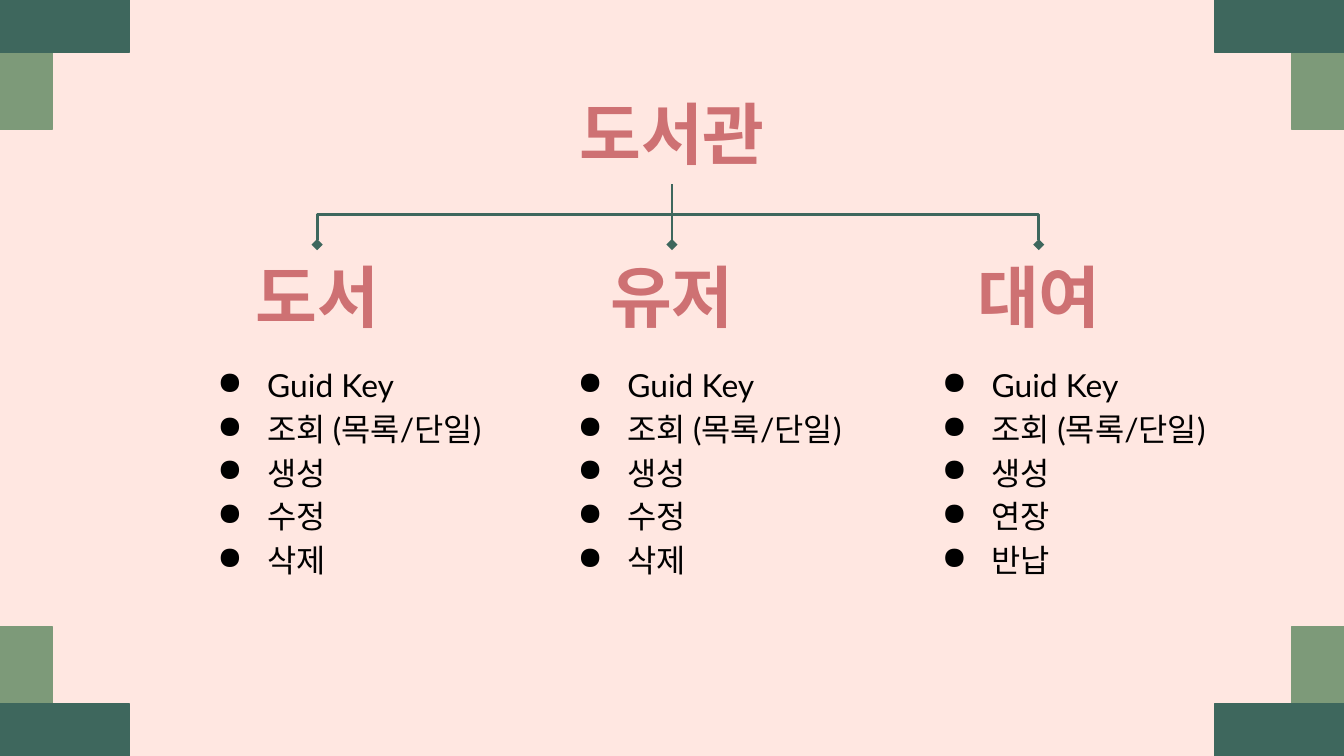
from itertools import product

from lxml.etree import SubElement
from pptx import Presentation
from pptx.dml.color import RGBColor
from pptx.enum.shapes import MSO_CONNECTOR as CONNECTOR, MSO_SHAPE as SHAPE
from pptx.enum.text import MSO_ANCHOR as ANCHOR, MSO_AUTO_SIZE as AUTO_SIZE, PP_ALIGN as ALIGN
from pptx.oxml.ns import qn
from pptx.util import Inches, Pt

ROOT = "도서관"
COMMON = ["Guid Key", "조회 (목록/단일)", "생성"]
# heading, centre of the heading, left edge of the list, items
BRANCHES = [
    ("도서", 2.36, 1.39, COMMON + ["수정", "삭제"]),
    ("유저", 5, 4.07, COMMON + ["수정", "삭제"]),
    ("대여", 7.73, 6.78, COMMON + ["연장", "반납"]),
]
COLORS = {"background": "FFE7E1", "dark": "3E675D", "light": "7D9A79",
          "heading": "CE7173", "text": "000000"}

WIDTH = 10
HEIGHT = WIDTH * 9 / 16
CENTER = WIDTH / 2
ROOT_TOP, BRANCH_TOP, LIST_TOP = 0.61, 1.82, 2.58
HEADING_HEIGHT = 0.76
ROOT_WIDTH, BRANCH_WIDTH = 6.44, 1.97
LIST_WIDTH, LIST_HEIGHT = 2.44, 1.8
INSET = 0.1
BLOCK_LONG, BLOCK_SHORT = 0.96, 0.39


def color(name):
    return RGBColor.from_string(COLORS[name])


def add_corner_block(slide, right, bottom, width, height, fill):
    left = WIDTH - width if right else 0
    top = HEIGHT - height if bottom else 0
    block = slide.shapes.add_shape(
        SHAPE.RECTANGLE, Inches(left), Inches(top), Inches(width), Inches(height))
    block.shadow.inherit = False
    block.fill.solid()
    block.fill.fore_color.rgb = color(fill)
    block.line.color.rgb = color(fill)
    block.line.width = Pt(0.75)


def add_text_box(slide, left, top, width, height):
    box = slide.shapes.add_textbox(Inches(left), Inches(top), Inches(width), Inches(height))
    frame = box.text_frame
    frame.word_wrap = True
    frame.margin_left = frame.margin_right = Inches(INSET)
    frame.margin_top = frame.margin_bottom = Inches(INSET)
    return box


def style_font(font, name, size, color_name, bold=False):
    font.name = name
    font.size = Pt(size)
    font.bold = bold
    font.color.rgb = color(color_name)


def add_heading(slide, text, center, top, width):
    box = add_text_box(slide, center - width / 2, top, width, HEADING_HEIGHT)
    box.text_frame.vertical_anchor = ANCHOR.MIDDLE
    paragraph = box.text_frame.paragraphs[0]
    paragraph.text = text
    paragraph.alignment = ALIGN.CENTER
    style_font(paragraph.font, "Roboto", 36, "heading", bold=True)
    return box


def add_bullet(paragraph):
    properties = paragraph._p.get_or_add_pPr()
    properties.set("marL", str(Inches(0.5)))
    properties.set("indent", str(Inches(-0.37)))
    bullet_color = SubElement(properties, qn("a:buClr"))
    SubElement(bullet_color, qn("a:srgbClr"), val=COLORS["text"])
    SubElement(properties, qn("a:buChar"), char="●")


def add_list(slide, left, items):
    frame = add_text_box(slide, left, LIST_TOP, LIST_WIDTH, LIST_HEIGHT).text_frame
    frame.auto_size = AUTO_SIZE.SHAPE_TO_FIT_TEXT
    for index, item in enumerate(items):
        paragraph = frame.add_paragraph() if index else frame.paragraphs[0]
        paragraph.text = item
        paragraph.line_spacing = 1.15
        add_bullet(paragraph)
        style_font(paragraph.font, "Lato", 17, "text")


def add_branch_line(slide, root, heading, center):
    """Join root and heading; an elbow is a turned box, so that it leaves downwards."""
    start = ROOT_TOP + HEADING_HEIGHT
    drop = BRANCH_TOP - start
    if center == CENTER:
        line = slide.shapes.add_connector(
            CONNECTOR.STRAIGHT, Inches(center), Inches(start), Inches(center), Inches(BRANCH_TOP))
        line.begin_connect(root, 2)
        line.end_connect(heading, 0)
    else:
        side = 1 if center > CENTER else -1
        middle_x, middle_y = (CENTER + center) / 2, start + drop / 2
        half_span = abs(center - CENTER) / 2
        line = slide.shapes.add_connector(
            CONNECTOR.ELBOW,
            Inches(middle_x + side * drop / 2), Inches(middle_y - half_span),
            Inches(middle_x - side * drop / 2), Inches(middle_y + half_span))
        degrees = 270 if side > 0 else 90
        line._element.spPr.find(qn("a:xfrm")).set("rot", str(degrees * 60000))
    line.line.color.rgb = color("dark")
    line.line.width = Pt(1.5)
    SubElement(line.line._get_or_add_ln(), qn("a:tailEnd"), type="diamond")
    SubElement(line._element.spPr, qn("a:effectLst"))


def main():
    presentation = Presentation()
    presentation.slide_width = Inches(WIDTH)
    presentation.slide_height = Inches(HEIGHT)
    slide = presentation.slides.add_slide(presentation.slide_layouts[6])
    slide.background.fill.solid()
    slide.background.fill.fore_color.rgb = color("background")

    for right, bottom in product((False, True), repeat=2):
        add_corner_block(slide, right, bottom, BLOCK_SHORT, BLOCK_LONG, "light")
        add_corner_block(slide, right, bottom, BLOCK_LONG, BLOCK_SHORT, "dark")

    root = add_heading(slide, ROOT, CENTER, ROOT_TOP, ROOT_WIDTH)
    for name, center, list_left, items in BRANCHES:
        heading = add_heading(slide, name, center, BRANCH_TOP, BRANCH_WIDTH)
        add_branch_line(slide, root, heading, center)
        add_list(slide, list_left, items)

    presentation.save("out.pptx")


if __name__ == "__main__":
    main()
